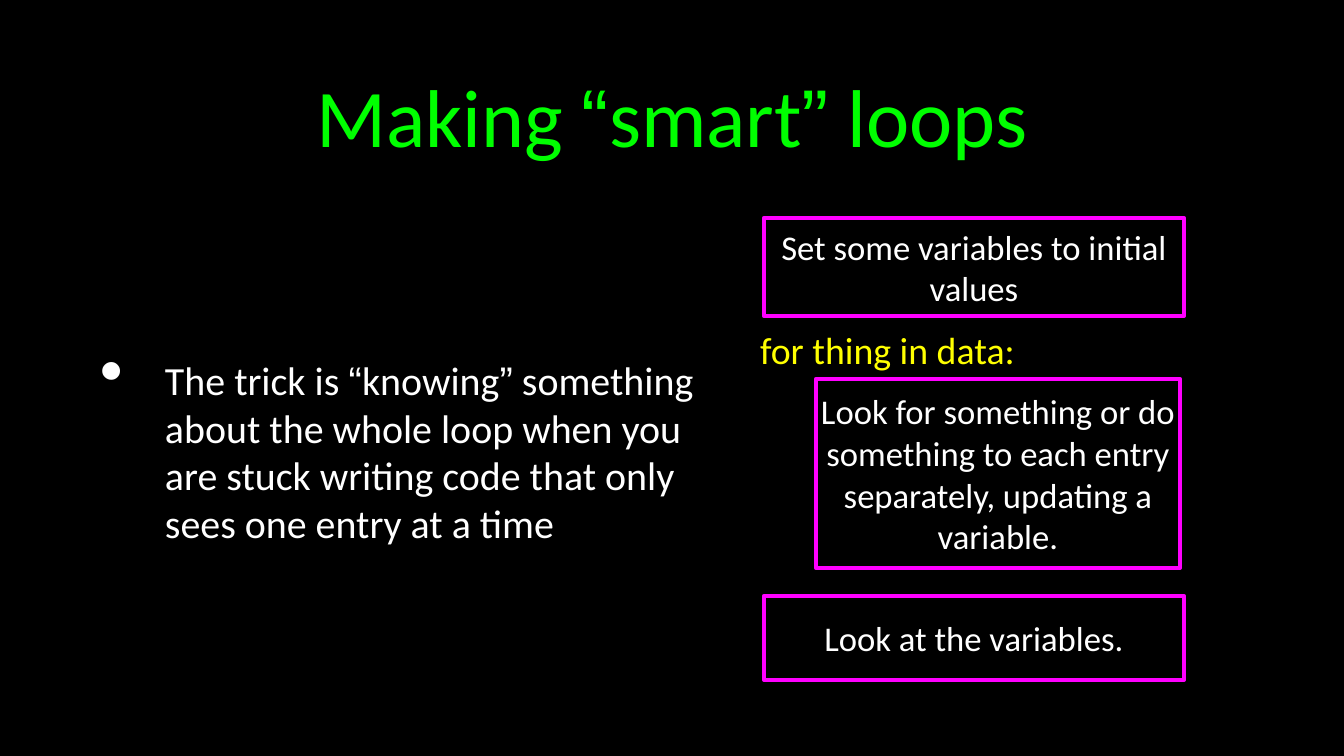
from itertools import groupby

from lxml import etree
from pptx import Presentation
from pptx.dml.color import RGBColor
from pptx.enum import shapes, text
from pptx.oxml import ns
from pptx.util import Emu, Pt

SCALE = 914400 / 75.6  # EMU per px
THEME = {
    "back": RGBColor(0x00, 0x00, 0x00),
    "title": RGBColor(0x00, 0xFF, 0x00),
    "body": RGBColor(0xFF, 0xFF, 0xFF),
    "code": RGBColor(0xFF, 0xFF, 0x00),
    "frame": RGBColor(0xFF, 0x00, 0xFF),
    "font": "Calibri",
    "quote_font": "Arial",
    "title_size": 78,
    "body_size": 38,
    "code_size": 36,
    "step_size": 33,
}


def px(value):
    return Emu(round(value * SCALE))


def write(box, words, *, size, color, align=text.PP_ALIGN.CENTER,
          inset=0, wrap=True, bullet_indent=0):
    frame = box.text_frame
    frame.word_wrap = wrap
    frame.vertical_anchor = text.MSO_ANCHOR.MIDDLE
    frame.margin_left = frame.margin_right = px(inset)
    frame.margin_top = frame.margin_bottom = px(inset)
    para = frame.paragraphs[0]
    para.alignment = align
    if bullet_indent:
        props = para._p.get_or_add_pPr()
        props.set("marL", str(px(bullet_indent)))
        props.set("indent", str(-px(bullet_indent)))
        etree.SubElement(props, ns.qn("a:buSzPct"), val="171000")
        etree.SubElement(props, ns.qn("a:buChar"), char="•")
    para.font.size = Pt(size)
    # Curly quotes have a font of their own
    for is_quote, letters in groupby(words, key=lambda letter: letter in "“”"):
        span = para.add_run()
        span.text = "".join(letters)
        span.font.name = THEME["quote_font"] if is_quote else THEME["font"]
        span.font.size = Pt(size)
        span.font.color.rgb = color


deck = Presentation()
deck.slide_width, deck.slide_height = px(1344), px(756)
page = deck.slides.add_slide(deck.slide_layouts[6])
page.background.fill.solid()
page.background.fill.fore_color.rgb = THEME["back"]

# Title
title = page.shapes.add_textbox(px(125), px(20), px(1094), px(189))
write(title, "Making “smart” loops", size=THEME["title_size"],
      color=THEME["title"], inset=5)

# Explanation on the left
trick = page.shapes.add_textbox(px(95), px(215), px(613), px(472))
write(trick, "The trick is “knowing” something about the whole loop when you "
      "are stuck writing code that only sees one entry at a time",
      size=THEME["body_size"], color=THEME["body"],
      align=text.PP_ALIGN.LEFT, inset=5, bullet_indent=65)

# Framed steps before, inside and after the loop
STEPS = [
    ("Set some variables to initial values", 764, 218, 420, 98),
    ("Look for something or do something to each entry separately, "
     "updating a variable.", 816, 379, 364, 189),
    ("Look at the variables.", 764, 596, 420, 84),
]
for words, left, top, width, height in STEPS:
    step = page.shapes.add_shape(shapes.MSO_SHAPE.RECTANGLE,
                                 px(left), px(top), px(width), px(height))
    step.shadow.inherit = False
    step.fill.background()
    step.line.color.rgb = THEME["frame"]
    step.line.width = Pt(4)
    write(step, words, size=THEME["step_size"], color=THEME["body"])

# Loop header
header = page.shapes.add_textbox(px(739), px(327), px(297), px(45))
write(header, "for thing in data:", size=THEME["code_size"],
      color=THEME["code"], wrap=False)

deck.save("out.pptx")
